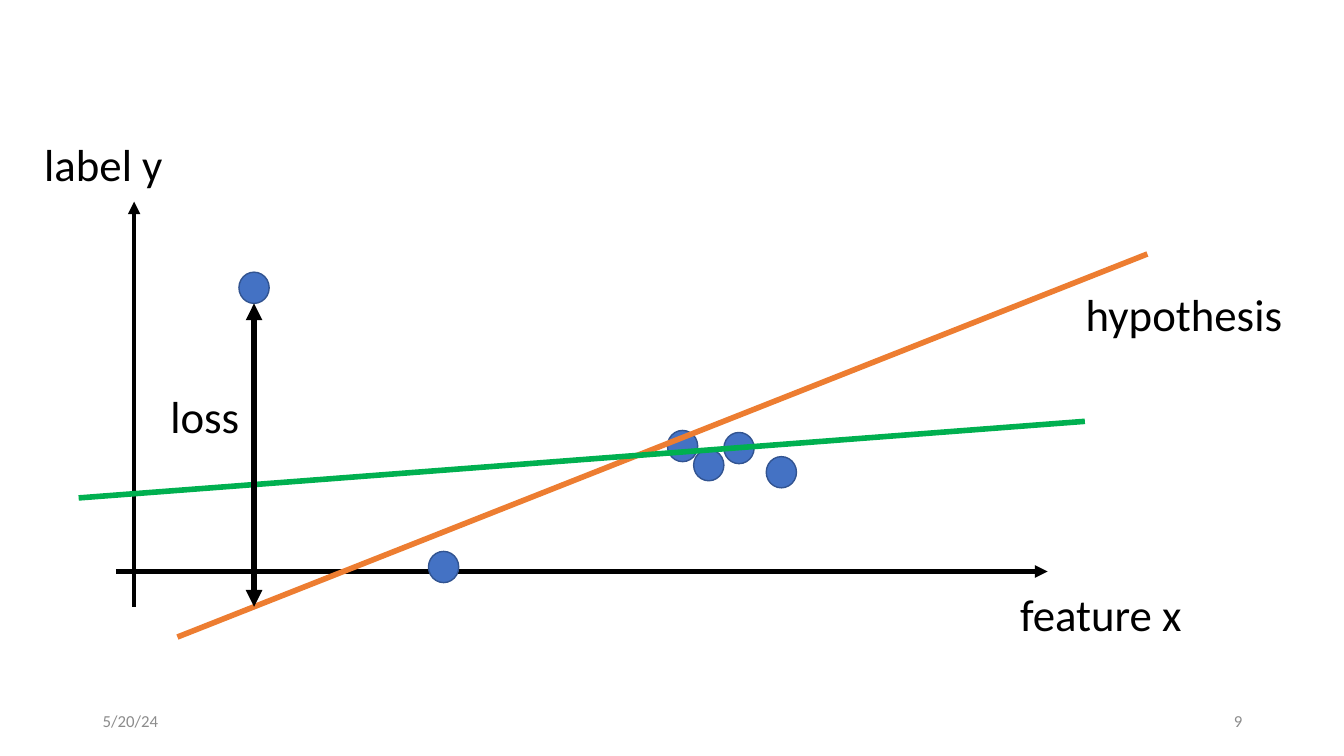
from dataclasses import dataclass
from typing import Optional

from pptx import Presentation
from pptx.dml.color import RGBColor
from pptx.enum.shapes import MSO_CONNECTOR, MSO_SHAPE
from pptx.enum.text import MSO_ANCHOR as Anchor, MSO_AUTO_SIZE as AutoSize, PP_ALIGN as Align
from pptx.oxml.ns import qn
from pptx.slide import Slide
from pptx.util import Emu, Pt
from lxml.etree import SubElement

EMU_PER_PX = 9144  # 100 px to the inch


@dataclass(frozen=True)
class Theme:
    font: str = "Calibri"
    black: str = "000000"
    grey: str = "8C8C8C"
    point_fill: str = "4472C4"
    point_line: str = "325491"
    orange: str = "ED7D31"
    green: str = "00B050"
    label_size: int = 32
    footer_size: int = 12


THEME = Theme()


@dataclass(frozen=True)
class Label:
    text: str
    left: int
    top: int
    width: int
    height: int = 64
    size: int = THEME.label_size
    color: str = THEME.black
    align: Align = Align.LEFT
    anchor: Anchor = Anchor.TOP
    wrap: bool = False
    auto_size: AutoSize = AutoSize.SHAPE_TO_FIT_TEXT


@dataclass(frozen=True)
class Line:
    start: tuple[int, int]
    end: tuple[int, int]
    color: str = THEME.black
    width: int = 4
    head: Optional[str] = None
    tail: Optional[str] = None


@dataclass(frozen=True)
class Point:
    left: int
    top: int


FOOTER = dict(top=695, width=300, height=40, size=THEME.footer_size, color=THEME.grey,
              anchor=Anchor.MIDDLE, wrap=True, auto_size=AutoSize.NONE)
POINT_WIDTH, POINT_HEIGHT = 30, 31

# Back to front
ELEMENTS = [
    # Footer
    Label("5/20/24", left=92, **FOOTER),
    Label("9", left=942, align=Align.RIGHT, **FOOTER),
    # Axes
    Line((115, 567), (1039, 567), width=3, tail="triangle"),
    Line((133, 602), (133, 200), width=3, tail="triangle"),
    Label("feature x", 1002, 577, 182),
    Label("label y", 34, 131, 139),
    # Data points
    Point(237, 270),
    Point(425, 547),
    Point(688, 446),
    Point(662, 427),
    Point(718, 429),
    Point(760, 453),
    # Hypotheses
    Line((176, 632), (1138, 252), THEME.orange),
    Line((78, 494), (1076, 418), THEME.green),
    # Loss
    Line((252, 301), (252, 602), head="triangle", tail="triangle"),
    Label("loss", 159, 381, 131, wrap=True),
    Label("hypothesis", 1067, 280, 217),
]


def px(length: int) -> Emu:
    return Emu(length * EMU_PER_PX)


def rgb(color: str) -> RGBColor:
    return RGBColor.from_string(color)


def set_all(target: object, values: dict) -> None:
    for name, value in values.items():
        setattr(target, name, value)


def draw_label(slide: Slide, label: Label) -> None:
    box = slide.shapes.add_textbox(px(label.left), px(label.top), px(label.width), px(label.height))
    set_all(box.text_frame, {"word_wrap": label.wrap, "auto_size": label.auto_size,
                             "vertical_anchor": label.anchor})
    paragraph = box.text_frame.paragraphs[0]
    set_all(paragraph, {"text": label.text, "alignment": label.align})
    font = paragraph.runs[0].font
    set_all(font, {"name": THEME.font, "size": Pt(label.size)})
    font.color.rgb = rgb(label.color)


def draw_line(slide: Slide, line: Line) -> None:
    ends = map(px, (*line.start, *line.end))
    connector = slide.shapes.add_connector(MSO_CONNECTOR.STRAIGHT, *ends)
    connector.line.color.rgb = rgb(line.color)
    connector.line.width = Pt(line.width)
    outline = connector.line._get_or_add_ln()
    for tag, arrow in (("a:headEnd", line.head), ("a:tailEnd", line.tail)):
        if arrow:
            SubElement(outline, qn(tag), type=arrow)
    SubElement(connector._element.spPr, qn("a:effectLst"))


def draw_point(slide: Slide, point: Point) -> None:
    shape = slide.shapes.add_shape(MSO_SHAPE.OVAL, px(point.left), px(point.top),
                                   px(POINT_WIDTH), px(POINT_HEIGHT))
    shape.shadow.inherit = False
    shape.fill.solid()
    shape.fill.fore_color.rgb = rgb(THEME.point_fill)
    shape.line.color.rgb = rgb(THEME.point_line)
    shape.line.width = Pt(1)


DRAW = {Label: draw_label, Line: draw_line, Point: draw_point}


def main() -> None:
    presentation = Presentation()
    set_all(presentation, {"slide_width": px(1333), "slide_height": px(750)})
    slide = presentation.slides.add_slide(presentation.slide_layouts[6])
    for element in ELEMENTS:
        DRAW[type(element)](slide, element)
    presentation.save("out.pptx")


if __name__ == "__main__":
    main()
